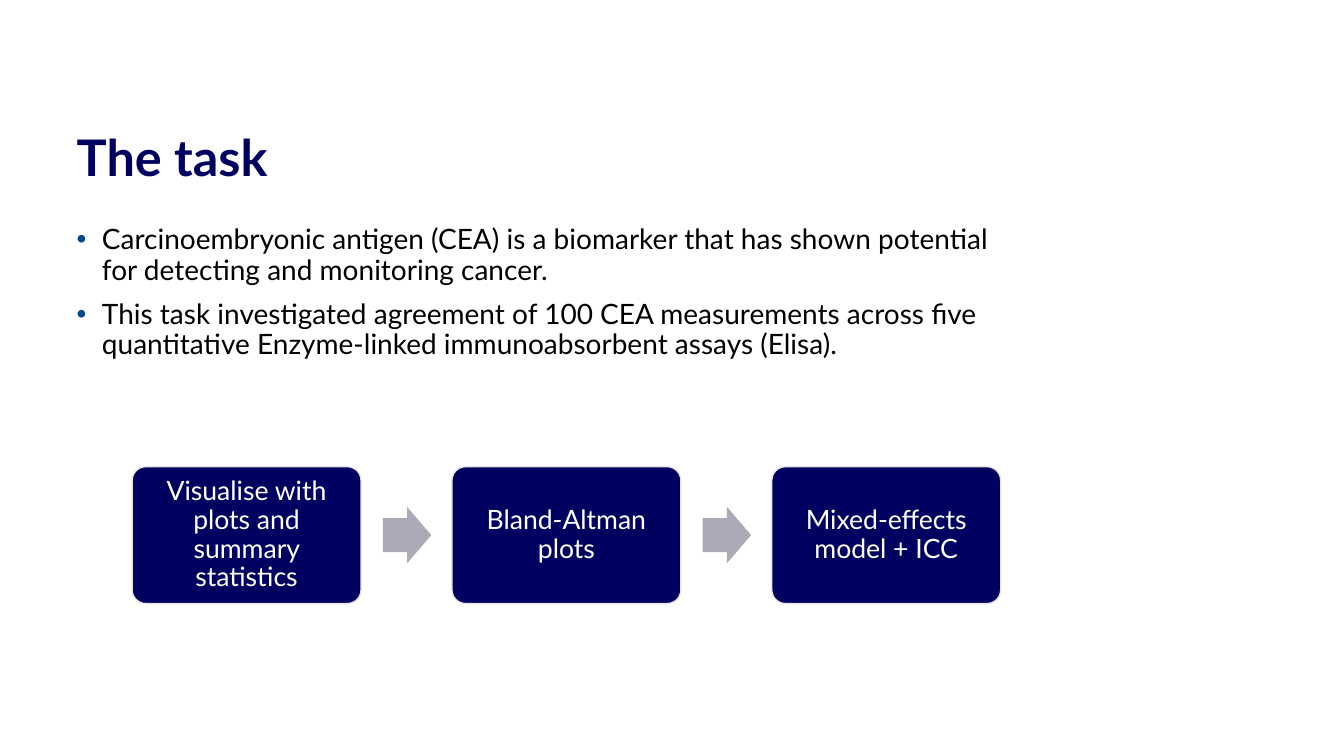
from dataclasses import dataclass

from lxml.etree import SubElement
from pptx import Presentation
from pptx.dml.color import RGBColor
from pptx.enum.shapes import MSO_SHAPE as Preset
from pptx.enum.text import MSO_ANCHOR as Anchor, MSO_AUTO_SIZE as AutoSize, PP_ALIGN as Align
from pptx.oxml.ns import qn
from pptx.util import Cm, Pt


@dataclass(frozen=True)
class Theme:
    font: str = "Lato"
    navy: str = "000061"
    bullet: str = "004791"
    text: str = "000000"
    white: str = "FFFFFF"
    outline: str = "EBE5E0"
    arrow: str = "ABABB7"
    title_size: int = 36
    body_size: int = 20
    step_size: int = 19
    line_spacing: float = 0.9


theme = Theme()


def write(paragraph, text, size, color, align=Align.LEFT, bold=False):
    paragraph.alignment = align
    paragraph.line_spacing = theme.line_spacing
    run = paragraph.add_run()
    run.text = text
    run.font.name = theme.font
    run.font.size = Pt(size)
    run.font.bold = bold
    run.font.color.rgb = RGBColor.from_string(color)


def add_filled(preset, left, top, width, height, color):
    shape = slide.shapes.add_shape(preset, Cm(left), Cm(top), Cm(width), Cm(height))
    shape.shadow.inherit = False
    shape.fill.solid()
    shape.fill.fore_color.rgb = RGBColor.from_string(color)
    return shape


presentation = Presentation()
presentation.slide_width, presentation.slide_height = Cm(33.87), Cm(19.05)
slide = presentation.slides.add_slide(presentation.slide_layouts[5])

# Title
title = slide.shapes.title
title.left, title.top, title.width, title.height = Cm(1.68), Cm(3.05), Cm(30.53), Cm(1.57)
frame = title.text_frame
frame.auto_size = AutoSize.NONE
frame.vertical_anchor = Anchor.TOP
frame.margin_top = Cm(0.3)
write(frame.paragraphs[0], "The task", theme.title_size, theme.navy, bold=True)

# Bulleted introduction
bullets = [
    "Carcinoembryonic antigen (CEA) is a biomarker that has shown potential "
    "for detecting and monitoring cancer.",
    "This task investigated agreement of 100 CEA measurements across five "
    "quantitative Enzyme-linked immunoabsorbent assays (Elisa).",
]
body = slide.shapes.add_textbox(Cm(1.68), Cm(5.56), Cm(24.46), Cm(12.57))
frame = body.text_frame
frame.word_wrap = True
for index, text in enumerate(bullets):
    paragraph = frame.add_paragraph() if index else frame.paragraphs[0]
    properties = paragraph._p.get_or_add_pPr()
    properties.set("marL", str(Cm(0.64)))
    properties.set("indent", str(-Cm(0.64)))
    bullet_color = SubElement(properties, qn("a:buClr"))
    SubElement(bullet_color, qn("a:srgbClr"), val=theme.bullet)
    SubElement(properties, qn("a:buFont"), typeface="Arial")
    SubElement(properties, qn("a:buChar"), char="•")
    if index:
        paragraph.space_before = Pt(10)
    write(paragraph, text, theme.body_size, theme.text)

# Process steps, with an arrow between neighbours
steps = [
    "Visualise with plots and summary statistics",
    "Bland-Altman plots",
    "Mixed-effects model + ICC",
]
step_left, step_top, step_width, step_height, pitch = 3.33, 11.76, 5.77, 3.45, 8.06
arrow_offset, arrow_width, arrow_height = 6.32, 1.22, 1.42
arrow_top = step_top + (step_height - arrow_height) / 2

for index, text in enumerate(steps):
    left = step_left + index * pitch
    if index:
        arrow = add_filled(Preset.RIGHT_ARROW, left - pitch + arrow_offset, arrow_top,
                           arrow_width, arrow_height, theme.arrow)
        arrow.adjustments[0], arrow.adjustments[1] = 0.6, 0.5
        arrow.line.fill.background()

    step = add_filled(Preset.ROUNDED_RECTANGLE, left, step_top, step_width, step_height, theme.navy)
    step.adjustments[0] = 0.1
    step.line.color.rgb = RGBColor.from_string(theme.outline)
    step.line.width = Pt(1)
    frame = step.text_frame
    frame.word_wrap = True
    frame.vertical_anchor = Anchor.MIDDLE
    frame.margin_left = frame.margin_right = Cm(0.2)
    frame.margin_top = frame.margin_bottom = Cm(0.2)
    write(frame.paragraphs[0], text, theme.step_size, theme.white, Align.CENTER)

presentation.save("out.pptx")
